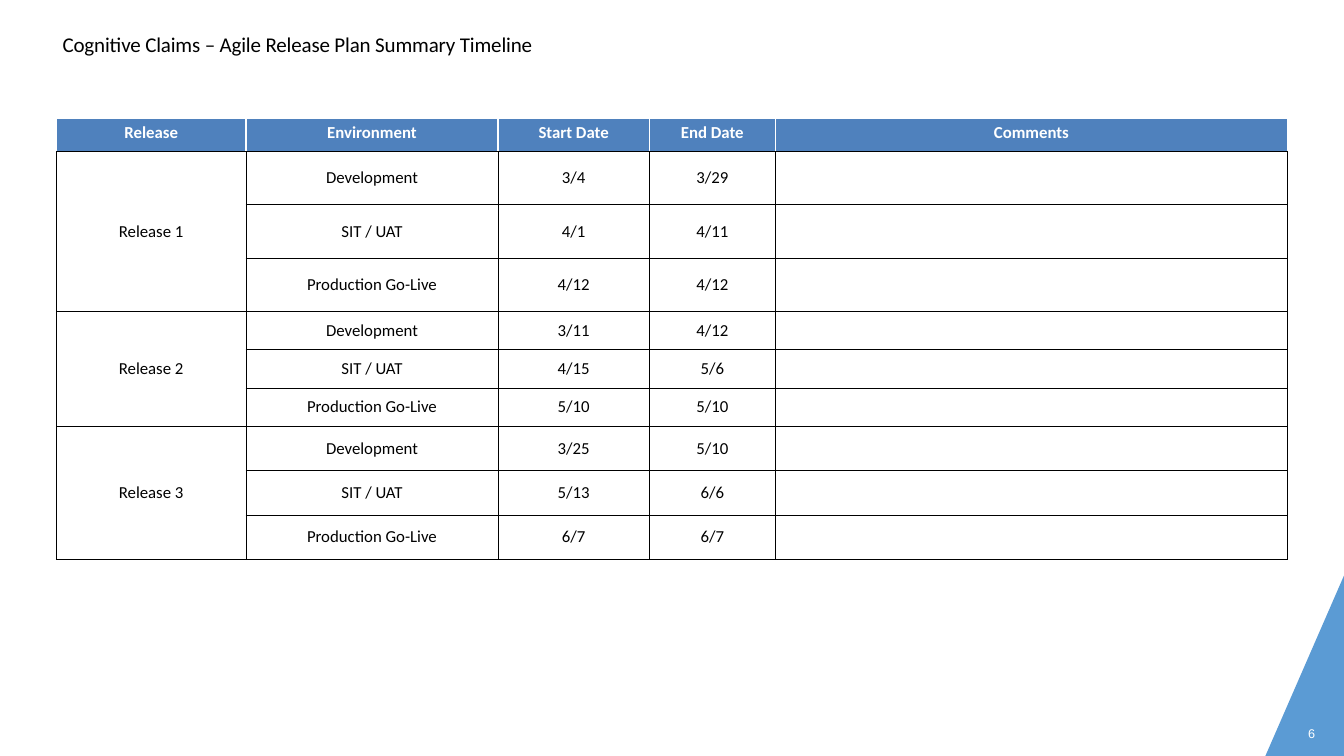
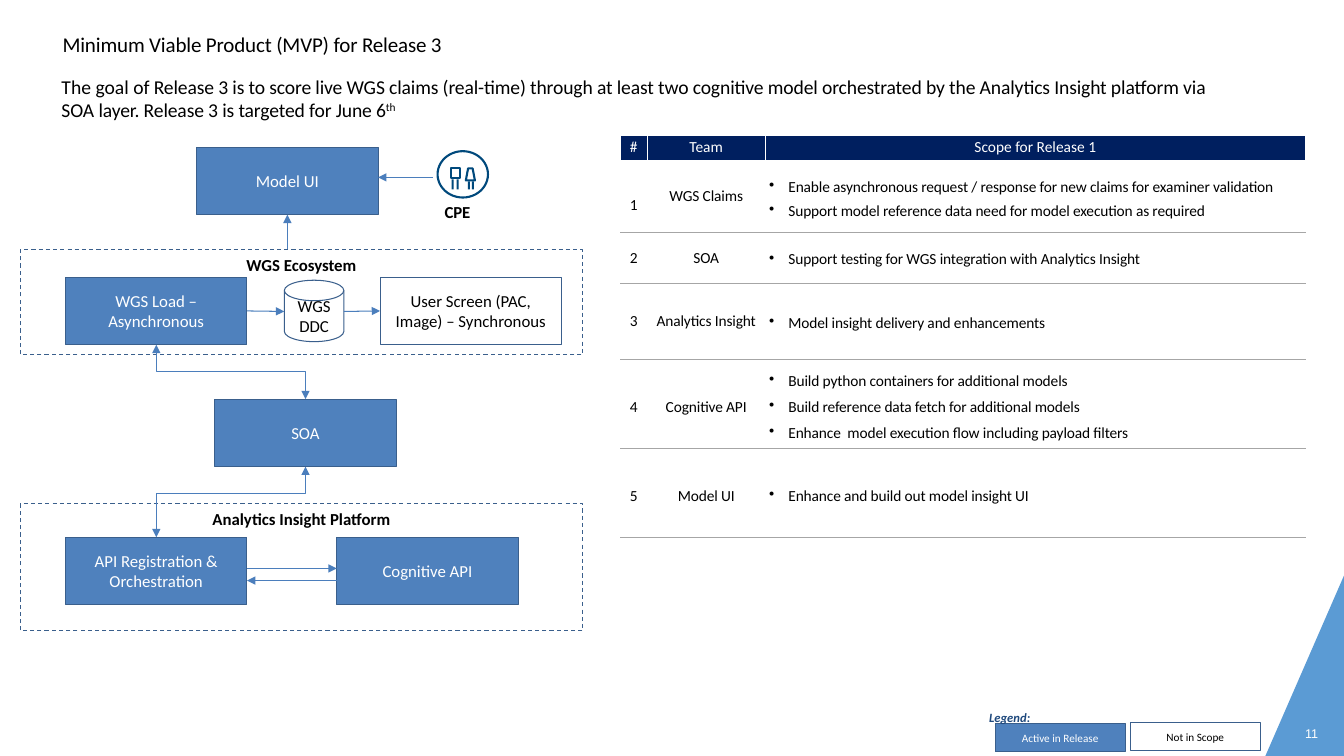
"""Build the release plan timeline and the Release 3 scope slides."""
import dataclasses

import lxml.etree
import pptx
import pptx.dml.color
import pptx.enum.dml
import pptx.enum.shapes
import pptx.enum.text
import pptx.oxml.ns
import pptx.util

PX = 9144
SHAPE = pptx.enum.shapes.MSO_SHAPE
LINK = pptx.enum.shapes.MSO_CONNECTOR
ALIGN = pptx.enum.text.PP_ALIGN
ANCHOR = pptx.enum.text.MSO_ANCHOR
qn = pptx.oxml.ns.qn


@dataclasses.dataclass(frozen=True)
class Theme:
    font: str = "Calibri"
    number_font: str = "Arial"
    black: str = "000000"
    white: str = "FFFFFF"
    blue: str = "4F81BD"
    outline: str = "3A5F8C"
    arrow: str = "4B7EBC"
    wedge: str = "5B9BD4"
    navy: str = "001F5F"
    grey: str = "A6A6A6"
    icon: str = "00497C"
    legend: str = "1F497D"
    title: int = 15
    lead: int = 14
    body: int = 12
    scope: int = 11
    small: int = 9
    key: int = 8
    thin: float = 0.75
    tight: float = -0.1


T = Theme()

PLAN_TITLE = "Cognitive Claims – Agile Release Plan Summary Timeline"
PLAN_HEADS = ["Release", "Environment", "Start Date", "End Date", "Comments"]
PLAN_COLS = [188, 250, 150, 125, 508]
STAGES = ["Development", "SIT / UAT", "Production Go-Live"]
RELEASES = [
    ("Release 1", 53, [("3/4", "3/29"), ("4/1", "4/11"), ("4/12", "4/12")]),
    ("Release 2", 38, [("3/11", "4/12"), ("4/15", "5/6"), ("5/10", "5/10")]),
    ("Release 3", 44, [("3/25", "5/10"), ("5/13", "6/6"), ("6/7", "6/7")]),
]

MVP_TITLE = "Minimum Viable Product (MVP) for Release 3"
GOAL = [
    ("The goal ", {"spc": 0}),
    ("of Release 3 is to score live WGS claims (real-time) through at least two "
     "cognitive model orchestrated by the Analytics Insight platform via SOA layer. "
     "Release 3 is targeted for June 6", {}),
    ("th", {"base": 30}),
]
SCOPE_HEADS = ["#", "Team", "Scope for Release 1"]
SCOPE_COLS = [27, 117, 536]
SCOPE = [
    {"team": "WGS Claims", "height": 72, "tops": (18, 0, 5), "gap": 3.5, "items": [
        "Enable asynchronous request / response for new claims for examiner validation",
        "Support model reference data need for model execution as required"]},
    {"team": "SOA", "height": 50, "tops": (0, 0, 3), "gap": 0, "items": [
        "Support testing for WGS integration with Analytics Insight"]},
    {"team": "Analytics Insight", "height": 76, "tops": (0, 0, 3), "gap": 0, "items": [
        "Model insight delivery and enhancements"]},
    {"team": "Cognitive API", "height": 88, "tops": (6, 6, 6), "gap": 5, "items": [
        "Build python containers for additional models",
        "Build reference data fetch for additional models",
        "Enhance  model execution flow including payload filters"]},
    {"team": "Model UI", "height": 88, "tops": (6, 6, 6), "gap": 0, "items": [
        "Enhance and build out model insight UI"]},
]
BOX_SIZE = (180, 67)
BOXES = {
    "load": ("WGS Load – Asynchronous", 65, 275, T.blue),
    "soa": ("SOA", 213, 396, T.blue),
    "registration": ("API Registration & Orchestration", 65, 533, T.blue),
    "api": ("Cognitive API", 334, 533, T.blue),
    "model": ("Model UI", 195, 146, T.blue),
    "screen": ("User Screen (PAC, Image) – Synchronous", 377, 275, None),
}
ZONES = [("WGS Ecosystem", 248, 104), ("Analytics Insight Platform", 500, 126)]
ARROWS = [
    ((245, 564), (334, 564), None, None),
    ((334, 576), (245, 576), None, None),
    ((285, 247), (285, 213), None, ("model", 2)),
    ((429, 176), (375, 176), None, None),
    ((245, 308), (282, 309), ("load", 3), None),
    ((341, 309), (377, 308), None, ("screen", 1)),
]
ELBOWS = [((155, 342), (303, 396), 50000), ((303, 463), (155, 533), 37700)]
LEGEND = [("Active in Release", 987, 718, T.blue), ("Not in Scope", 1121, 717, None)]
FIGURES = [(SHAPE.RECTANGLE, 446, 12, (2, 7)), (SHAPE.TRAPEZOID, 461, 14, (3, 7))]


def px(*values):
    return [pptx.util.Emu(v * PX) for v in values]


def rgb(value):
    return pptx.dml.color.RGBColor.from_string(value)


def add_run(p, text, size, color, bold=False, italic=False, font=T.font, spc=T.tight, base=0):
    r = p.add_run()
    r.text = text
    f = r.font
    f.name, f.size, f.bold, f.italic = font, pptx.util.Pt(size), bold, italic
    f.color.rgb = rgb(color)
    props = r._r.get_or_add_rPr()
    if spc:
        props.set("spc", str(int(spc * 100)))
    if base:
        props.set("baseline", str(base * 1000))


def write(tf, runs, size, color, align=ALIGN.LEFT, anchor=ANCHOR.TOP, insets=None, **style):
    tf.word_wrap = True
    tf.vertical_anchor = anchor
    if insets:
        tf.margin_left, tf.margin_top, tf.margin_right, tf.margin_bottom = px(*insets)
    p = tf.paragraphs[0]
    p.alignment = align
    for text, extra in runs:
        add_run(p, text, size, color, **{**style, **extra})


def add_text(s, box, runs, size, color, insets=(0, 1, 0, 0), **style):
    write(s.shapes.add_textbox(*px(*box)).text_frame, runs, size, color, insets=insets, **style)


def paint(sp, fill=None, line=None, width=T.thin):
    sp.shadow.inherit = False
    if fill:
        sp.fill.solid()
        sp.fill.fore_color.rgb = rgb(fill)
    else:
        sp.fill.background()
    if line:
        sp.line.color.rgb = rgb(line)
        sp.line.width = pptx.util.Pt(width)
    else:
        sp.line.fill.background()


def add_box(s, kind, box, text, fill=None, size=T.body, color=None, anchor=ANCHOR.MIDDLE, bold=False):
    sp = s.shapes.add_shape(kind, *px(*box))
    paint(sp, fill, T.outline)
    write(sp.text_frame, [(text, {})], size, color or (T.white if fill else T.black),
          ALIGN.CENTER, anchor, bold=bold, spc=0)
    return sp


def add_arrow(s, start, end, kind=LINK.STRAIGHT, both=False):
    c = s.shapes.add_connector(kind, *px(*start, *end))
    c.line.color.rgb = rgb(T.arrow)
    c.line.width = pptx.util.Pt(T.thin)
    ln = c.line._get_or_add_ln()
    for tag in ["a:headEnd"] * both + ["a:tailEnd"]:
        lxml.etree.SubElement(ln, qn(tag), type="triangle")
    lxml.etree.SubElement(c._element.spPr, qn("a:effectLst"))
    return c


def add_elbow(s, start, end, bend):
    c = add_arrow(s, start, end, LINK.ELBOW, both=True)
    (x1, y1), (x2, y2) = start, end
    w, h = y2 - y1, abs(x2 - x1)
    c.left, c.top, c.width, c.height = px((x1 + x2 - w) // 2, (y1 + y2 - h) // 2, w, h)
    xfrm = c._element.spPr.find(qn("a:xfrm"))
    xfrm.attrib.pop("flipH", None)
    xfrm.set("rot", "16200000" if x2 > x1 else "5400000")
    if x2 > x1:
        xfrm.set("flipH", "1")
    geom = c._element.spPr.find(qn("a:prstGeom"))
    guides = geom.find(qn("a:avLst"))
    if guides is None:
        guides = lxml.etree.SubElement(geom, qn("a:avLst"))
    lxml.etree.SubElement(guides, qn("a:gd"), name="adj1", fmla=f"val {bend}")


def style_cell(cell, borders, fill=None, margins=None, anchor=ANCHOR.MIDDLE):
    cell.vertical_anchor = anchor
    if margins:
        cell.margin_left, cell.margin_top, cell.margin_right, cell.margin_bottom = px(*margins)
    tc = cell._tc.get_or_add_tcPr()
    for side in "LRTB":
        color, width = borders.get(side, (None, 0))
        ln = lxml.etree.SubElement(tc, qn(f"a:ln{side}"), w=str(int(width * 12700)))
        paint_tag = lxml.etree.SubElement(ln, qn("a:solidFill" if color else "a:noFill"))
        if color:
            lxml.etree.SubElement(paint_tag, qn("a:srgbClr"), val=color)
    if fill:
        cell.fill.solid()
        cell.fill.fore_color.rgb = rgb(fill)
    else:
        cell.fill.background()


def cell_text(cell, text, size, color, bold=False, spc=0):
    p = cell.text_frame.paragraphs[0]
    p.alignment = ALIGN.CENTER
    if text:
        add_run(p, text, size, color, bold, spc=spc)
    else:
        lxml.etree.SubElement(p._p, qn("a:endParaRPr"), sz=str(size * 100))


def add_table(s, left, top, cols, rows):
    t = s.shapes.add_table(len(rows), len(cols), *px(left, top, sum(cols), sum(rows))).table
    t.first_row = t.horz_banding = False
    for col, width in zip(t.columns, cols):
        col.width = px(width)[0]
    for row, height in zip(t.rows, rows):
        row.height = px(height)[0]
    return t


def add_slide(prs, title, number):
    s = prs.slides.add_slide(prs.slide_layouts[5])
    fb = s.shapes.build_freeform(1333, 571, scale=PX)
    fb.add_line_segments([(1255, 750), (1333, 750)], close=True)
    paint(fb.convert_to_shape(), T.wedge)
    sp = s.shapes.title
    sp.left, sp.top, sp.width, sp.height = px(62, 30, 821, 27)
    write(sp.text_frame, [(title, {})], T.title, T.black, insets=(0, 1, 0, 0))
    add_text(s, (1286, 719, 30, 18), [(number, {})], T.small, T.white,
             align=ALIGN.CENTER, font=T.number_font)
    return s


def plan_slide(prs):
    s = add_slide(prs, PLAN_TITLE, "6")
    heights = [33] + [h for _, h, dates in RELEASES for _ in dates]
    t = add_table(s, 56, 117, PLAN_COLS, heights)
    rows = [PLAN_HEADS] + [
        (name if i == 0 else "", stage, *days, "")
        for name, _, dates in RELEASES
        for i, (stage, days) in enumerate(zip(STAGES, dates))]
    black, white = (T.black, T.thin), (T.white, 1)
    for y, row in enumerate(rows):
        head = y == 0
        edge = white if head else black
        for x, text in enumerate(row):
            cell = t.cell(y, x)
            style_cell(cell, {"L": edge, "R": edge, "T": edge, "B": black}, T.blue if head else None,
                       anchor=ANCHOR.TOP if head else ANCHOR.MIDDLE)
            cell_text(cell, text, T.body, T.white if head else T.black, head)
    for y in range(1, len(rows), len(STAGES)):
        t.cell(y, 0).merge(t.cell(y + len(STAGES) - 1, 0))


def scope_table(s):
    t = add_table(s, 615, 134, SCOPE_COLS, [25] + [row["height"] for row in SCOPE])
    white, grey = (T.white, 1), (T.grey, T.thin)
    for x, text in enumerate(SCOPE_HEADS):
        style_cell(t.cell(0, x), dict.fromkeys("LRTB", white), T.navy, (0, 3, 0, 0), ANCHOR.TOP)
        cell_text(t.cell(0, x), text, T.scope, T.white)
    for y, row in enumerate(SCOPE, 1):
        for x, top in enumerate(row["tops"]):
            style_cell(t.cell(y, x), {"T": white if y == 1 else grey, "B": grey}, margins=(0, top, 0, 0))
        cell_text(t.cell(y, 0), str(y), T.scope, T.black)
        cell_text(t.cell(y, 1), row["team"], T.scope, T.black, spc=T.tight)
        tf = t.cell(y, 2).text_frame
        for i, item in enumerate(row["items"]):
            p = tf.add_paragraph() if i else tf.paragraphs[0]
            props = p._p.get_or_add_pPr()
            props.set("marL", str(23 * PX))
            props.set("indent", str(-19 * PX))
            lxml.etree.SubElement(props, qn("a:buChar"), char="•")
            if i:
                p.space_before = pptx.util.Pt(row["gap"])
            add_run(p, item, T.scope, T.black)


def people_icon(s):
    parts = [(SHAPE.OVAL, (434, 150, 50, 46), False)]
    for kind, x, body, legs in FIGURES:
        parts.append((kind, (x + 1, 167, 9, body - 2), False))
        parts += [(SHAPE.RECTANGLE, (x + leg, 166 + body, 2, 22 - body), True) for leg in legs]
    for kind, box, solid in parts:
        sp = s.shapes.add_shape(kind, *px(*box))
        paint(sp, T.icon if solid else None, None if solid else T.icon, 1.5)


def mvp_slide(prs):
    s = add_slide(prs, MVP_TITLE, "11")
    add_text(s, (61, 73, 1141, 49), GOAL, T.lead, T.black)
    scope_table(s)
    boxes = {key: add_box(s, SHAPE.RECTANGLE, (x, y, *BOX_SIZE), text, fill)
             for key, (text, x, y, fill) in BOXES.items()}
    for text, y, h in ZONES:
        zone = add_box(s, SHAPE.RECTANGLE, (20, y, 558, h), text, anchor=ANCHOR.TOP, bold=True)
        zone.line.dash_style = pptx.enum.dml.MSO_LINE.DASH
    add_box(s, SHAPE.FLOWCHART_MAGNETIC_DISK, (282, 278, 59, 61), "WGS DDC")
    for start, end, source, target in ARROWS:
        c = add_arrow(s, start, end)
        if source:
            c.begin_connect(boxes[source[0]], source[1])
        if target:
            c.end_connect(boxes[target[0]], target[1])
    for elbow in ELBOWS:
        add_elbow(s, *elbow)
    people_icon(s)
    add_text(s, (441, 199, 30, 22), [("CPE", {})], T.body, T.black, bold=True)
    for text, x, y, fill in LEGEND:
        add_box(s, SHAPE.FLOWCHART_PROCESS, (x, y, 129, 28), text, fill, T.key)
    add_text(s, (981, 699, 85, 38), [("Legend:", {})], T.small, T.legend, (0, 5, 10, 5),
             bold=True, italic=True, spc=0)


def main():
    prs = pptx.Presentation()
    prs.slide_width, prs.slide_height = px(1333, 750)
    plan_slide(prs)
    mvp_slide(prs)
    prs.save("out.pptx")


if __name__ == "__main__":
    main()
